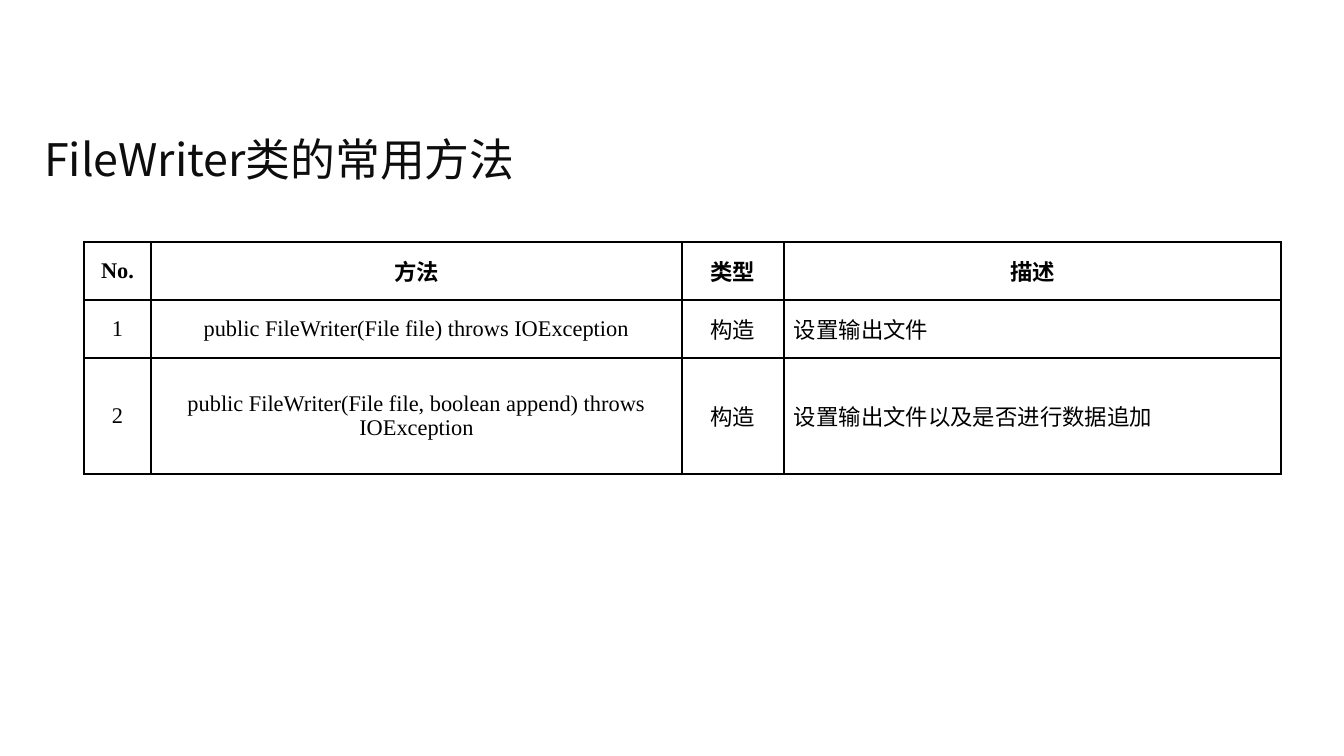
import lxml.etree
import pptx
import pptx.dml.color
import pptx.enum.text
import pptx.oxml.ns
import pptx.util

PX = 9144000 / 1344
COLORS = {"title": "0D0D0D", "text": "000000", "border": "000000", "cell": "FFFFFF"}
CJK_FONT = "Noto Sans CJK SC"
TITLE_FORMAT = {"name": CJK_FONT, "size": pptx.util.Pt(24)}
CELL_FORMAT = {"name": "Times New Roman", "size": pptx.util.Pt(12)}
ALIGN = pptx.enum.text.PP_ALIGN
MIDDLE = pptx.enum.text.MSO_ANCHOR.MIDDLE
COLUMNS = [67, 531, 102, 497]
ROWS = [58, 58, 116]
METHODS = [
    ["No.", "方法", "类型", "描述"],
    ["1", "public FileWriter(File file) throws IOException", "构造", "设置输出文件"],
    ["2", "public FileWriter(File file, boolean append) throws IOException", "构造",
     "设置输出文件以及是否进行数据追加"],
]


def px(n):
    """Turn px into EMU."""
    return pptx.util.Emu(round(n * PX))


def rgb(name):
    """Look up a named colour."""
    return pptx.dml.color.RGBColor.from_string(COLORS[name])


def add_element(parent, tag, **attributes):
    """Append a drawing element with its attributes."""
    return lxml.etree.SubElement(parent, pptx.oxml.ns.qn(tag), attributes)


def write_text(tf, text, color, formats, align):
    """Write one formatted run into a text frame."""
    p = tf.paragraphs[0]
    p.alignment = align
    r = p.add_run()
    r.text = text
    for key, value in formats.items():
        setattr(r.font, key, value)
    r.font.color.rgb = rgb(color)
    add_element(r.font._element, "a:ea", typeface=CJK_FONT)


def add_borders(cell):
    """Draw a thin line on each side of a cell."""
    tcPr = cell._tc.get_or_add_tcPr()
    for side in "LRTB":
        line = add_element(tcPr, f"a:ln{side}", w=str(pptx.util.Pt(1)))
        fill = add_element(line, "a:solidFill")
        add_element(fill, "a:srgbClr", val=COLORS["border"])


def add_title(s, x, y, w, h):
    """Place the slide title in the given box."""
    tf = s.shapes.add_textbox(px(x), px(y), px(w), px(h)).text_frame
    tf.word_wrap = True
    tf.vertical_anchor = MIDDLE
    write_text(tf, "FileWriter类的常用方法", "title", TITLE_FORMAT, ALIGN.LEFT)


def add_methods_table(s, x, y):
    """Place the table of methods with its corner at x, y."""
    table = s.shapes.add_table(len(ROWS), len(COLUMNS), px(x), px(y),
                               px(sum(COLUMNS)), px(sum(ROWS))).table
    table.first_row = table.horz_banding = False
    for column, width in zip(table.columns, COLUMNS):
        column.width = px(width)
    for row, height in zip(table.rows, ROWS):
        row.height = px(height)
    layout = {"margin_left": px(10), "margin_right": px(10), "margin_top": 0,
              "margin_bottom": 0, "vertical_anchor": MIDDLE}
    for i, texts in enumerate(METHODS):
        for j, text in enumerate(texts):
            cell = table.cell(i, j)
            for key, value in layout.items():
                setattr(cell, key, value)
            add_borders(cell)
            cell.fill.solid()
            cell.fill.fore_color.rgb = rgb("cell")
            align = ALIGN.JUSTIFY if i and j == 3 else ALIGN.CENTER
            write_text(cell.text_frame, text, "text", {**CELL_FORMAT, "bold": i == 0}, align)


def main():
    """Build and save the slide."""
    prs = pptx.Presentation()
    prs.slide_width, prs.slide_height = px(1344), px(756)
    s = prs.slides.add_slide(prs.slide_layouts[6])
    add_title(s, 31, 116, 1281, 86)
    add_methods_table(s, 84, 242)
    prs.save("out.pptx")


if __name__ == "__main__":
    main()
